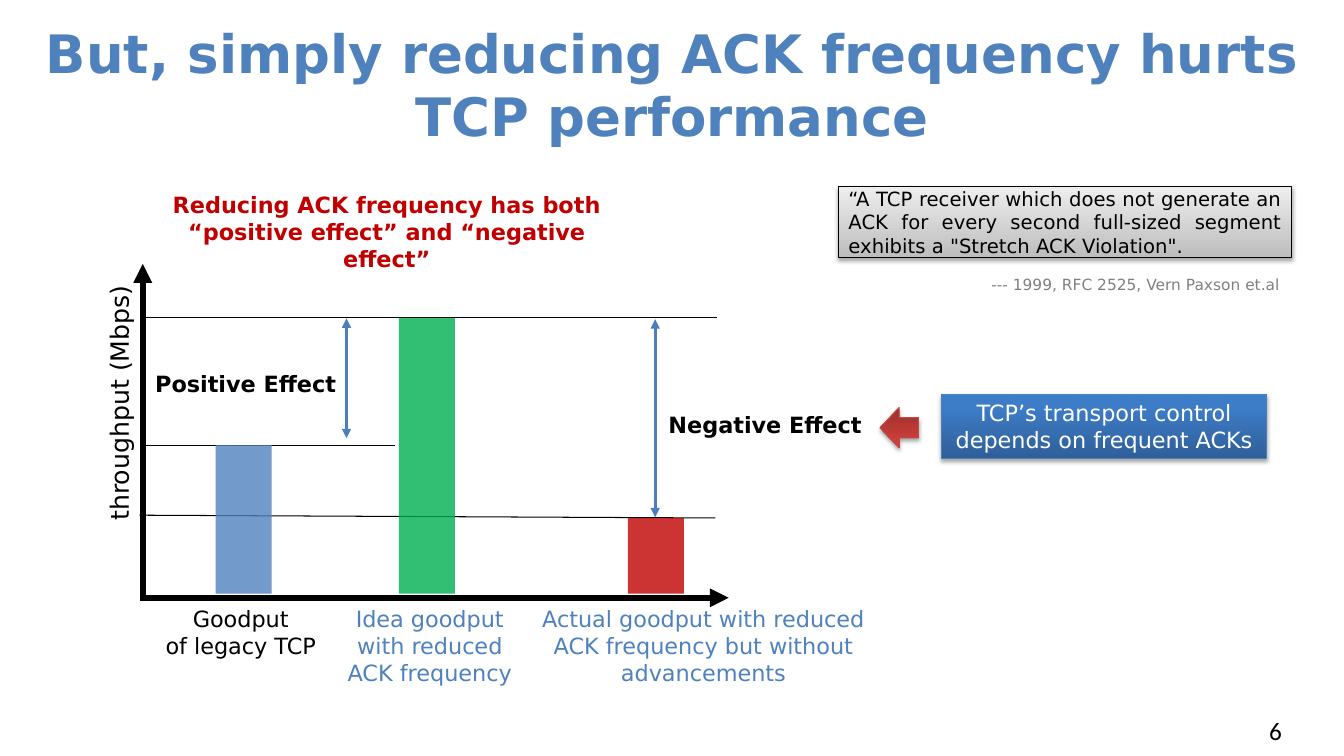
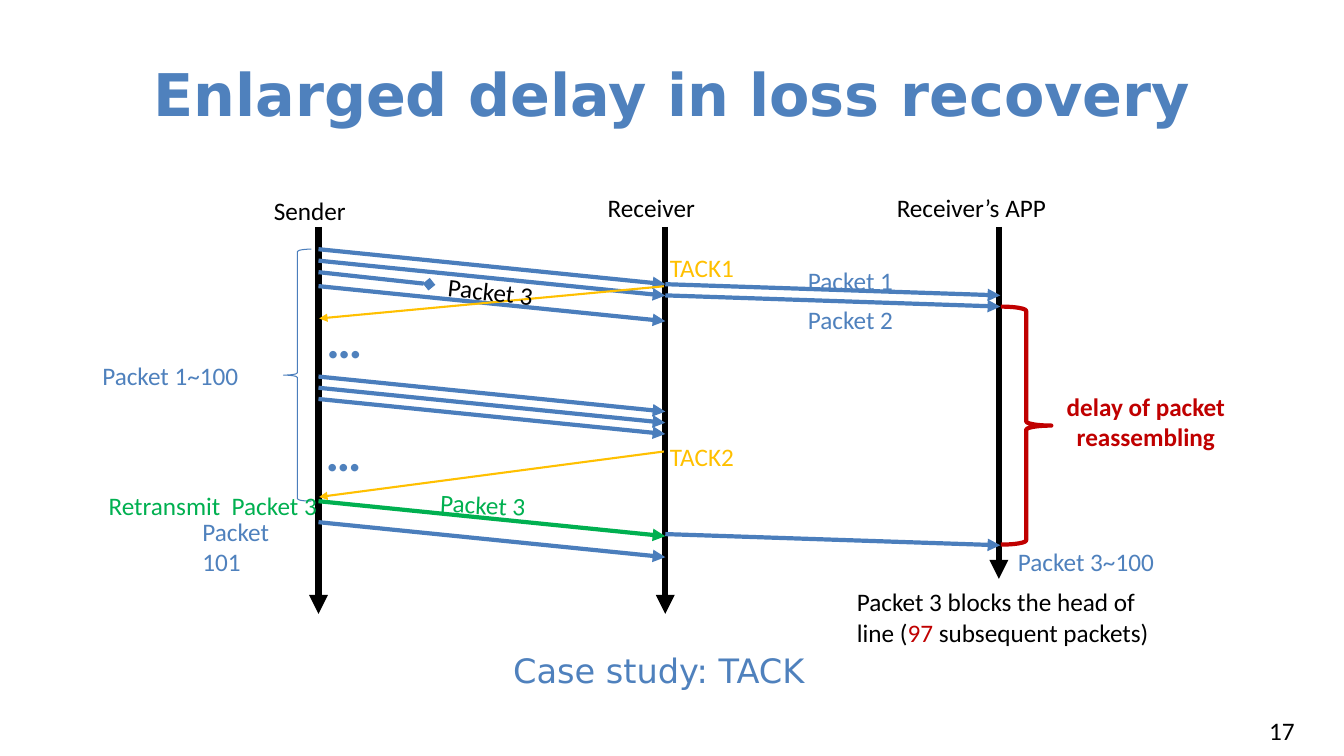
from dataclasses import dataclass

from lxml import etree
from pptx import Presentation
from pptx import util as u
from pptx.dml.color import RGBColor
from pptx.enum import shapes, text
from pptx.oxml.ns import qn

ALIGN = text.PP_ALIGN
SHAPE = shapes.MSO_SHAPE


@dataclass(frozen=True)
class Theme:
    head_font: str = "DejaVu Sans"
    body_font: str = "Calibri"
    blue: str = "4F81BD"
    line_blue: str = "4B7EBC"
    red: str = "C00000"
    arrow_red: str = "BF4C48"
    green: str = "00B050"
    amber: str = "FFC000"
    black: str = "000000"
    grey: str = "808080"
    white: str = "FFFFFF"
    blue_blend: tuple = (("2F5F99", 0), ("3D7CC7", 0.8))
    red_blend: tuple = (("9C2F2D", 0), ("CB3E3A", 0.8))
    grey_blend: tuple = (("BDBDBD", 0), ("EEEEEE", 1))
    dots: float = 36
    caption: float = 24
    body: float = 18
    label: float = 16
    quote: float = 14
    credit: float = 11
    hairline: float = 0.75
    ack_line: float = 1.5
    span_line: float = 2.25
    packet_line: float = 3
    axis_line: float = 4.5


THEME = Theme()


def points(*lengths):
    return [u.Pt(length) for length in lengths]


class Slides:
    """Holds the theme, the deck and the page being drawn."""

    def __init__(self, theme):
        self.theme = theme
        self.deck = Presentation()
        self.deck.slide_width, self.deck.slide_height = points(960, 540)
        self.page = None

    def new_page(self, title, size, top, number):
        self.page = self.deck.slides.add_slide(self.deck.slide_layouts[5])
        box = self.page.shapes.title
        box.left, box.top, box.width, box.height = points(0, top, 960, 90)
        self.fill_text(box, title, size, self.theme.blue,
                       self.theme.head_font, True, ALIGN.CENTER,
                       text.MSO_ANCHOR.MIDDLE)
        self.label(number, 899.5, 507.5, 47, 29)

    def style(self, span, size, color, font, bold=False):
        span.font.size = u.Pt(size)
        span.font.name = font
        span.font.bold = bold
        span.font.color.rgb = RGBColor.from_string(color)

    def fill_text(self, box, content, size, color, font, bold=False,
                  align=ALIGN.LEFT, anchor=text.MSO_ANCHOR.TOP):
        frame = box.text_frame
        frame.text = content
        frame.word_wrap = True
        frame.auto_size = text.MSO_AUTO_SIZE.NONE
        frame.vertical_anchor = anchor
        if anchor == text.MSO_ANCHOR.MIDDLE:
            frame.margin_top = frame.margin_bottom = 0
        for para in frame.paragraphs:
            para.alignment = align
            for span in para.runs:
                self.style(span, size, color, font, bold)

    def label(self, content, left, top, width, height=27, color=THEME.black,
              size=THEME.body, font=THEME.body_font, turn=0, **options):
        box = self.page.shapes.add_textbox(*points(left, top, width, height))
        box.rotation = turn
        self.fill_text(box, content, size, color, font, **options)
        return box

    def line(self, start, end, color=THEME.black, width=THEME.hairline,
             head=None, tail=None):
        line = self.page.shapes.add_connector(
            shapes.MSO_CONNECTOR.STRAIGHT, *points(*start, *end))
        line.line.color.rgb = RGBColor.from_string(color)
        line.line.width = u.Pt(width)
        outline = line._element.spPr.find(qn("a:ln"))
        for tag, kind in (("a:headEnd", head), ("a:tailEnd", tail)):
            if kind:
                etree.SubElement(outline, qn(tag), type=kind)
        etree.SubElement(line._element.spPr, qn("a:effectLst"))

    def shape(self, kind, left, top, width, height):
        shape = self.page.shapes.add_shape(
            kind, *points(left, top, width, height))
        shape.shadow.inherit = False
        return shape

    def bar(self, left, top, height, color):
        bar = self.shape(SHAPE.RECTANGLE, left, top, 40, height)
        bar.fill.solid()
        bar.fill.fore_color.rgb = RGBColor.from_string(color)
        bar.line.fill.background()
        tint = bar._element.spPr.find(qn("a:solidFill"))[0]
        etree.SubElement(tint, qn("a:alpha"), val="80000")

    def brace(self, kind, left, top, width, height, color, weight):
        brace = self.shape(kind, left, top, width, height)
        brace.fill.background()
        brace.line.color.rgb = RGBColor.from_string(color)
        brace.line.width = u.Pt(weight)

    def raised(self, kind, left, top, width, height, blend, edge):
        shape = self.shape(kind, left, top, width, height)
        shape.fill.gradient()
        shape.fill.gradient_angle = 90
        for stop, (color, position) in zip(shape.fill.gradient_stops, blend):
            stop.color.rgb = RGBColor.from_string(color)
            stop.position = position
        shape.line.color.rgb = RGBColor.from_string(edge)
        shape.line.width = u.Pt(self.theme.hairline)
        effects = shape._element.spPr.find(qn("a:effectLst"))
        shadow = etree.SubElement(
            effects, qn("a:outerShdw"), blurRad=str(u.Pt(3.1)),
            dist=str(u.Pt(1.8)), dir="5400000", rotWithShape="0")
        tint = etree.SubElement(shadow, qn("a:srgbClr"), val=self.theme.black)
        etree.SubElement(tint, qn("a:alpha"), val="35000")
        return shape


def throughput_page(slides):
    t = slides.theme
    slides.new_page("But, simply reducing ACK frequency hurts TCP performance",
                    37.8, 15, "6")
    heading = dict(font=t.head_font, size=t.label, align=ALIGN.CENTER)

    # Level lines and axes
    legacy, ideal, actual, base = 318, 227, 370, 424
    slides.line((99.5, 368), (511, actual))
    slides.line((102, ideal), (512, ideal))
    slides.line((101, legacy), (282, legacy))
    axis = dict(width=t.axis_line, tail="triangle")
    slides.line((102, 427.5), (102, 188.5), **axis)
    slides.line((100, 427), (520.5, 427), **axis)
    slides.label("throughput (Mbps)", -19, 260.5, 208, 29,
                 font=t.head_font, turn=270)

    # Bars and their captions
    for left, top, color in ((154, legacy, t.blue), (285, ideal, t.green),
                             (448.5, actual, t.red)):
        slides.bar(left, top, base - top, color)
    for caption, left, width, color in (
            ("Goodput\nof legacy TCP", 107, 130, t.black),
            ("Idea goodput with reduced ACK frequency", 236, 142, t.blue),
            ("Actual goodput with reduced ACK frequency but without "
             "advancements", 372, 261, t.blue)):
        slides.label(caption, left, 429, width, 65, color, **heading)

    # Effects
    for x, top, bottom in ((247.5, 227.5, 313), (468, 228, 369.5)):
        slides.line((x, top), (x, bottom), t.line_blue, t.span_line,
                    "triangle", "triangle")
    slides.label("Positive Effect", 98, 260.5, 155, bold=True, **heading)
    slides.label("Negative Effect", 464, 290, 165, bold=True, **heading)
    slides.label("Reducing ACK frequency has both “positive effect” and "
                 "“negative effect”", 94.5, 133, 363.5, 46, t.red,
                 bold=True, **heading)

    # Cause
    arrow = slides.raised(SHAPE.RIGHT_ARROW, 628.5, 291, 27.5, 29,
                          t.red_blend, t.arrow_red)
    arrow.rotation = 180
    cause = slides.raised(SHAPE.RECTANGLE, 672.5, 281.5, 232.5, 46,
                          t.blue_blend, t.line_blue)
    middle = text.MSO_ANCHOR.MIDDLE
    slides.fill_text(cause, "TCP’s transport control depends on frequent ACKs",
                     color=t.white, anchor=middle, **heading)

    # Quotation
    quote = slides.raised(SHAPE.RECTANGLE, 599, 133, 323.5, 51,
                          t.grey_blend, t.black)
    slides.fill_text(quote, "“A TCP receiver which does not generate an ACK "
                     "for every second full-sized segment exhibits a "
                     "\"Stretch ACK Violation\".", t.quote, t.black,
                     t.head_font, align=ALIGN.JUSTIFY, anchor=middle)
    slides.label("--- 1999, RFC 2525, Vern Paxson et.al", 701, 196, 232.5, 14,
                 t.grey, t.credit, t.head_font, anchor=middle)


def recovery_page(slides):
    t = slides.theme
    slides.new_page("Enlarged delay in loss recovery", 42, 21.5, "17")
    sender, receiver, app = 227.5, 475.2, 713.5
    drop, app_drop = 25, 8

    # Time lines
    for name, x, end, left, top in (
            ("Sender", sender, 438.5, 188.5, 136),
            ("Receiver", receiver, 438.5, 427, 134),
            ("Receiver’s APP", app, 413.5, 633.5, 134)):
        slides.line((x, 162), (x, end), width=t.axis_line, tail="triangle")
        slides.label(name, left, top, 160, color=t.black)

    # Packets
    packet = dict(color=t.line_blue, width=t.packet_line, tail="triangle")
    for y in (178, 186.2, 204.4, 269, 277, 285, 373):
        slides.line((sender, y), (receiver, y + drop), **packet)
    for y in (203, 211, 381.5):
        slides.line((receiver, y), (app + 1, y + app_drop), **packet)
    slides.line((sender, 194.4), (306.5, 203),
                **{**packet, "tail": "diamond"})
    slides.line((sender, 358), (receiver, 358 + drop),
                **{**packet, "color": t.green})

    # Acknowledgements
    for name, y, end, top in (("TACK1", 204.5, 227.5, 177),
                              ("TACK2", 322.5, 355, 312)):
        slides.line((receiver - 1, y), (sender + 0.5, end), t.amber,
                    t.ack_line, tail="triangle")
        slides.label(name, 471.5, top, 80, color=t.amber)

    # Braces
    slides.brace(SHAPE.LEFT_BRACE, 202.5, 178, 20, 180, t.line_blue,
                 t.hairline)
    slides.brace(SHAPE.RIGHT_BRACE, 715, 219, 36, 170, t.red, t.packet_line)

    # Labels
    for content, left, top, width, color, turn in (
            ("Packet 1~100", 66, 253.5, 143, t.blue, 0),
            ("Packet 1", 570, 186, 95, t.blue, 0),
            ("Packet 2", 570, 214, 95, t.blue, 0),
            ("Packet 3", 313, 195, 101, t.black, 6.2),
            ("Packet 3", 307.5, 346.5, 101, t.green, 2.7),
            ("Packet 3~100", 720, 386.5, 143, t.blue, 0),
            ("Packet 101", 137.5, 365, 80, t.blue, 0),
            ("Retransmit  Packet 3", 70.5, 347, 175, t.green, 0)):
        slides.label(content, left, top, width, color=color, turn=turn)
    for left, top in ((226, 216.5), (225.5, 297.5)):
        slides.label("…", left, top, 45, 37, t.blue, t.dots, bold=True)
    slides.label("delay of packet reassembling", 732, 276, 173, 47, t.red,
                 bold=True, align=ALIGN.CENTER)
    note = slides.label("Packet 3 blocks the head of line (",
                        605, 415.5, 235.5, 51)
    for content, color in (("97", t.red), (" subsequent packets)", t.black)):
        span = note.text_frame.paragraphs[0].add_run()
        span.text = content
        slides.style(span, t.body, color, t.body_font)
    slides.label("Case study: TACK", 359.5, 461, 232, 36, t.blue,
                 t.caption, t.head_font)


def main():
    slides = Slides(THEME)
    throughput_page(slides)
    recovery_page(slides)
    slides.deck.save("out.pptx")


if __name__ == "__main__":
    main()
